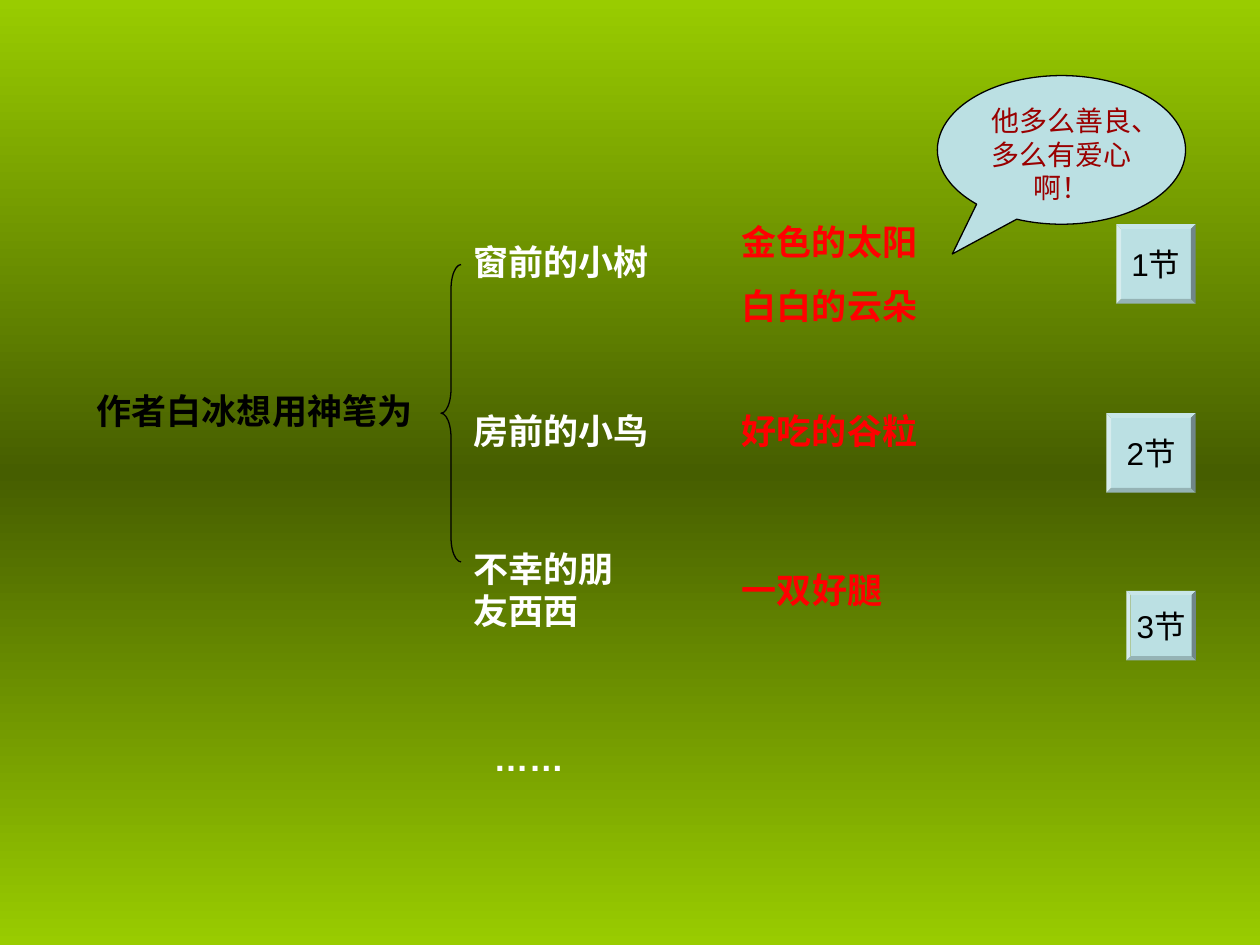
from copy import deepcopy

from pptx import Presentation
from pptx.dml.color import RGBColor
from pptx.enum.shapes import MSO_SHAPE
from pptx.enum.text import MSO_ANCHOR, MSO_AUTO_SIZE, PP_ALIGN
from pptx.oxml.ns import qn
from pptx.util import Inches, Pt

BEVEL, BRACE = MSO_SHAPE.BEVEL, MSO_SHAPE.LEFT_BRACE
CALLOUT = MSO_SHAPE.OVAL_CALLOUT
TOP, MIDDLE = MSO_ANCHOR.TOP, MSO_ANCHOR.MIDDLE
CENTER = PP_ALIGN.CENTER
GROW = MSO_AUTO_SIZE.SHAPE_TO_FIT_TEXT

COLORS = {
    "lime": "99CC00", "olive": "465E00", "black": "000000",
    "white": "FFFFFF", "red": "FF0000", "pale": "BBE0E3", "wine": "990000",
}
GIVEN, GIFT = 3.66, 5.79  # left edges of the two columns
RIGHT = 9.49  # shared right edge of the buttons

LABELS = [
    (0.67, 3.04, 2.84, 0.44, "black", ["作者白冰想用神笔为"]),
    (GIVEN, 1.86, 2.2, 0.44, "white", ["窗前的小树"]),
    (GIFT, 1.7, 2.13, 0.94, "red", ["金色的太阳", "白白的云朵"]),
    (GIVEN, 3.2, 1.73, 0.44, "white", ["房前的小鸟"]),
    (GIFT, 3.2, 1.97, 0.44, "red", ["好吃的谷粒"]),
    (GIVEN, 4.3, 1.57, 0.77, "white", ["不幸的朋友西西"]),
    (GIFT, 4.46, 2.05, 0.44, "red", ["一双好腿"]),
    (3.82, 5.8, 1.49, 0.44, "white", ["……"]),
]
BUTTONS = [  # top, width, height, text
    (1.78, 0.63, 0.63, "1节"),
    (3.28, 0.71, 0.63, "2节"),
    (4.69, 0.55, 0.55, "3节"),
]


def rgb(name):
    return RGBColor.from_string(COLORS[name])


def assign(target, values):
    for name, value in values.items():
        setattr(target, name, value)


def write(shape, lines, color, font, frame, align=None):
    """Fill a shape with one paragraph per line."""
    text = shape.text_frame
    assign(text, frame)
    text.text = "\n".join(lines)
    for i, para in enumerate(text.paragraphs):
        para.alignment = align
        if i:
            para.space_before = Pt(12.5)
        assign(para.font, {"name": "Arial", **font})
        para.font.color.rgb = rgb(color)


def add_label(slide, left, top, width, height, color, lines):
    box = slide.shapes.add_textbox(*map(Inches, (left, top, width, height)))
    write(box, lines, color, {"size": Pt(20), "bold": True},
          {"word_wrap": True, "auto_size": GROW})


def add_form(slide, kind, box, adjust, fill=None, line=None):
    shape = slide.shapes.add_shape(kind, *map(Inches, box))
    shape.shadow.inherit = False
    for i, value in enumerate(adjust):
        shape.adjustments[i] = value
    if fill:
        shape.fill.solid()
        shape.fill.fore_color.rgb = rgb(fill)
    else:
        shape.fill.background()
    if line:
        shape.line.color.rgb = rgb(line)
        shape.line.width = Pt(0.75)
    else:
        shape.line.fill.background()
    return shape


def add_button(slide, top, width, height, text):
    box = (RIGHT - width, top, width, height)
    button = add_form(slide, BEVEL, box, [0.06], "pale")
    write(button, [text], "black", {"size": Pt(18)},
          {"word_wrap": False, "vertical_anchor": MIDDLE}, CENTER)


def add_bubble(slide):
    bubble = add_form(slide, CALLOUT, (7.44, 0.6, 1.97, 1.18),
                      [-0.44, 0.7], "pale", "black")
    write(bubble, ["他多么善良、多么有爱心啊！"], "wine", {"size": Pt(16)},
          {"word_wrap": True, "vertical_anchor": TOP}, CENTER)


def paint_back(slide):
    fill = slide.background.fill
    fill.gradient()
    fill.gradient_angle = 90
    stops = slide.element.find(".//" + qn("a:gsLst"))
    stops.append(deepcopy(stops[0]))
    shades = [(0, "lime"), (0.5, "olive"), (1, "lime")]
    for stop, (place, color) in zip(fill.gradient_stops, shades):
        stop.position = place
        stop.color.rgb = rgb(color)


def main():
    deck = Presentation()
    assign(deck, {"slide_width": Inches(10), "slide_height": Inches(7.5)})
    slide = deck.slides.add_slide(deck.slide_layouts[6])
    paint_back(slide)
    for label in LABELS:
        add_label(slide, *label)
    for button in BUTTONS:
        add_button(slide, *button)
    add_form(slide, BRACE, (3.5, 2.1, 0.16, 2.36), [1.22, 0.5], line="black")
    add_bubble(slide)
    deck.save("out.pptx")


if __name__ == "__main__":
    main()
